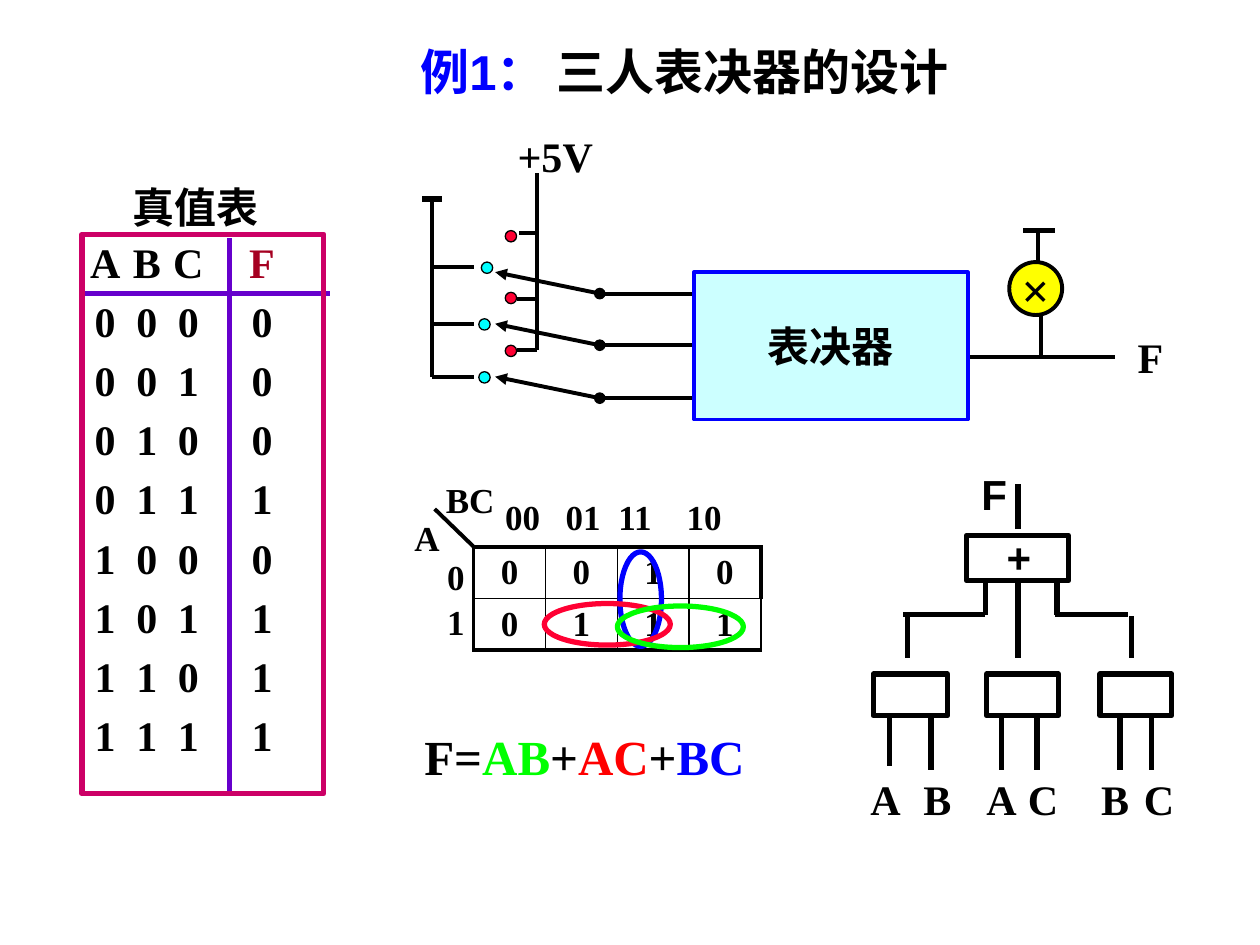
from lxml import etree
from pptx import Presentation
from pptx.dml.color import RGBColor
from pptx.enum.shapes import MSO_CONNECTOR, MSO_SHAPE
from pptx.enum.text import MSO_ANCHOR, PP_ALIGN
from pptx.oxml.ns import qn
from pptx.util import Inches, Pt

RECT, OVAL, STRAIGHT = MSO_SHAPE.RECTANGLE, MSO_SHAPE.OVAL, MSO_CONNECTOR.STRAIGHT
LEFT, CENTER = PP_ALIGN.LEFT, PP_ALIGN.CENTER
MIDDLE, TOP = MSO_ANCHOR.MIDDLE, MSO_ANCHOR.TOP
SANS, SERIF = "Arial", "Times New Roman"

THEME = {
    "black": "000000", "blue": "0000FF", "cyan": "00FFFF", "pale": "CCFFFF",
    "red": "FF0033", "pure_red": "FF0000", "dark_red": "A50021", "green": "00FF00",
    "yellow": "FFFF00", "pink": "CC0066", "purple": "6600CC",
    "large": 28, "medium": 24, "small": 20,
    "thin": 0.75, "grid": 1, "wire": 2.25, "thick": 3,
}


def write(tf, runs, size, font, align=LEFT, tabs=()):
    p = tf.paragraphs[0]
    p.alignment = align
    if tabs:
        tab_list = etree.SubElement(p._p.get_or_add_pPr(), qn("a:tabLst"))
        for pos in tabs:
            etree.SubElement(tab_list, qn("a:tab"), pos=str(Inches(pos)), algn="l")
    p.font.name, p.font.size, p.font.bold = font, Pt(THEME[size]), True
    for text, color in runs:
        r = p.add_run()
        r.text = text
        r.font.color.rgb = RGBColor.from_string(THEME[color])


def line(x1, y1, x2, y2, width="wire", color="black", head=None, tail=None):
    cx = s.shapes.add_connector(STRAIGHT, Inches(x1), Inches(y1), Inches(x2), Inches(y2))
    cx.line.width = Pt(THEME[width])
    cx.line.color.rgb = RGBColor.from_string(THEME[color])
    for tag, kind in (("a:headEnd", head), ("a:tailEnd", tail)):
        if kind:
            etree.SubElement(cx.line._get_or_add_ln(), qn(tag), type=kind)
    etree.SubElement(cx._element.spPr, qn("a:effectLst"))


prs = Presentation()
prs.slide_width, prs.slide_height = Inches(10), Inches(7.5)
s = prs.slides.add_slide(prs.slide_layouts[5])

title = s.shapes.title
title.left, title.top, title.width, title.height = map(Inches, (0.43, 0.28, 10, 0.57))
title.text_frame.vertical_anchor = MIDDLE
write(title.text_frame, [("例1：", "blue"), (" 三人表决器的设计", "black")], "large", SANS, CENTER)

switches = [(2.33, 3.82, 2.08, 1.83, 4.12, 1.85),
            (2.74, 3.80, 2.53, 2.32, 4.10, 2.37),
            (3.16, 3.80, 2.95, 2.74, 4.10, 2.78)]
contacts = []
for y, low_x, low_y, high_y, stub_x, stub_y in switches:
    line(4.76, y, 5.6, y, head="oval", tail="oval")
    line(4.76, y, 3.93, y - 0.17, tail="triangle")
    line(stub_x, stub_y, stub_x + 0.16, stub_y)
    line(3.76, low_y + 0.04, 3.43, low_y + 0.04)
    contacts += [(OVAL, low_x, low_y, 0.09, 0.09, "cyan", "black", "thin", None),
                 (OVAL, 4.01, high_y, 0.09, 0.09, "red", "black", "thin", None)]

for ends in [(4.26, 2.78, 4.26, 1.37), (3.43, 2.99, 3.43, 1.58),
             (7.68, 2.83, 8.85, 2.83), (8.26, 2.83, 8.26, 2.49),
             (8.24, 2.08, 8.24, 1.83), (3.45, 4.04, 3.76, 4.34)]:
    line(*ends)

for ends in [(3.35, 1.58, 3.51, 1.58), (8.12, 1.83, 8.37, 1.83),
             (8.08, 4.2, 8.08, 3.84), (8.08, 4.97, 8.08, 4.61),
             (7.17, 4.88, 7.82, 4.88), (7.82, 4.88, 7.82, 4.63),
             (8.95, 4.88, 8.37, 4.88), (8.39, 4.88, 8.39, 4.63)]:
    line(*ends, "thick")
for x in (7.2, 8.08, 8.98):
    line(x, 4.89, x, 5.22, "thick")
line(7.06, 5.67, 7.06, 6.08, "thick")
for x in (7.39, 7.95, 8.23, 8.89, 9.14):
    line(x, 5.7, x, 6.11, "thick")

line(1.82, 1.89, 1.82, 6.28, "thick", "purple")
line(0.65, 2.33, 2.62, 2.33, "thick", "purple")

truth_rows = ["ABCF", "0000", "0010", "0100", "0111", "1000", "1011", "1101", "1111"]
map_rows = ["0010", "0111"]
tables = [
    (truth_rows, 0.67, 1.86, [0.33, 0.33, 0.33, 0.84], 0.47, "medium", MIDDLE, 0, False),
    (map_rows, 3.76, 4.34, [0.57] * 4, 0.41, "small", TOP, 0.05, True),
]
for rows, x, y, widths, height, size, anchor, inset, ruled in tables:
    frame = s.shapes.add_table(len(rows), len(widths), Inches(x), Inches(y),
                               Inches(sum(widths)), Inches(height * len(rows)))
    table = frame.table
    table.first_row = table.horz_banding = False
    for column, width in zip(table.columns, widths):
        column.width = Inches(width)
    for i, row in enumerate(rows):
        table.rows[i].height = Inches(height)
        for j, value in enumerate(row):
            cell = table.cell(i, j)
            cell.margin_left = cell.margin_right = cell.margin_bottom = 0
            cell.margin_top = Inches(inset)
            cell.vertical_anchor = anchor
            write(cell.text_frame, [(value, "dark_red" if value == "F" else "black")],
                  size, SERIF, CENTER)
            tcPr = cell._tc.get_or_add_tcPr()
            outer = {"L": j == 0, "R": j == 3 and i == 0, "T": i == 0, "B": i == len(rows) - 1}
            for side, heavy in outer.items():
                width = Pt(THEME["wire" if heavy else "grid"])
                ln = etree.SubElement(tcPr, qn("a:ln" + side), w=str(width))
                if ruled:
                    fill = etree.SubElement(ln, qn("a:solidFill"))
                    etree.SubElement(fill, qn("a:srgbClr"), val=THEME["black"])
                else:
                    etree.SubElement(ln, qn("a:noFill"))
            cell.fill.background()

shapes = contacts + [
    (RECT, 5.51, 2.16, 2.17, 1.17, "pale", "blue", "wire", ("表决器", "medium", SANS)),
    (OVAL, 8.01, 2.08, 0.42, 0.42, "yellow", "black", "wire", ("×", "large", SERIF)),
    (RECT, 0.65, 1.86, 1.92, 4.44, None, "pink", "thick", None),
    (OVAL, 4.92, 4.38, 0.33, 0.75, None, "blue", "thick", None),
    (OVAL, 4.32, 4.79, 1, 0.33, None, "red", "thick", None),
    (OVAL, 4.9, 4.81, 1, 0.33, None, "green", "thick", None),
    (RECT, 7.67, 4.25, 0.81, 0.36, None, "black", "thick", None),
    (RECT, 6.93, 5.35, 0.59, 0.33, None, "black", "thick", None),
    (RECT, 7.83, 5.35, 0.57, 0.33, None, "black", "thick", None),
    (RECT, 8.73, 5.35, 0.57, 0.33, None, "black", "thick", None),
]
for kind, x, y, w, h, fill, color, width, caption in shapes:
    sp = s.shapes.add_shape(kind, Inches(x), Inches(y), Inches(w), Inches(h))
    sp.shadow.inherit = False
    sp.line.color.rgb = RGBColor.from_string(THEME[color])
    sp.line.width = Pt(THEME[width])
    if fill:
        sp.fill.solid()
        sp.fill.fore_color.rgb = RGBColor.from_string(THEME[fill])
    else:
        sp.fill.background()
    if caption:
        text, size, font = caption
        sp.text_frame.word_wrap = False
        sp.text_frame.vertical_anchor = MIDDLE
        write(sp.text_frame, [(text, "black")], size, font, CENTER)

formula = [("F=", "black"), ("AB", "green"), ("+", "black"),
           ("AC", "pure_red"), ("+", "black"), ("BC", "blue")]
labels = [
    ([("真值表", "black")], 0.95, 1.39, 1.4, 0.51, "medium", SANS, ()),
    ([("+5V", "black")], 4.01, 0.99, 1, 0.5, "medium", SERIF, ()),
    ([("F", "black")], 8.93, 2.58, 0.58, 0.5, "medium", SERIF, ()),
    ([("00\t01\t11\t10", "black")], 3.91, 3.88, 2.11, 0.43, "small", SERIF, (0.48, 0.9, 1.44)),
    ([("0", "black")], 3.45, 4.36, 0.34, 0.43, "small", SERIF, ()),
    ([("1", "black")], 3.45, 4.72, 0.34, 0.43, "small", SERIF, ()),
    ([("A", "black")], 3.19, 4.05, 0.4, 0.43, "small", SERIF, ()),
    ([("BC", "black")], 3.44, 3.75, 0.69, 0.43, "small", SERIF, ()),
    (formula, 3.27, 5.72, 2.83, 0.57, "large", SERIF, ()),
    ([("+", "black")], 7.89, 4.17, 0.58, 0.5, "medium", SANS, ()),
    ([("F", "black")], 7.69, 3.67, 0.7, 0.5, "medium", SANS, ()),
]
for name, x in zip("ABACBC", (6.81, 7.23, 7.73, 8.06, 8.64, 8.98)):
    labels.append(([(name, "black")], x, 6.09, 0.5, 0.5, "medium", SERIF, ()))
for runs, x, y, w, h, size, font, tabs in labels:
    tf = s.shapes.add_textbox(Inches(x), Inches(y), Inches(w), Inches(h)).text_frame
    tf.word_wrap = True
    write(tf, runs, size, font, tabs=tabs)

prs.save("out.pptx")
